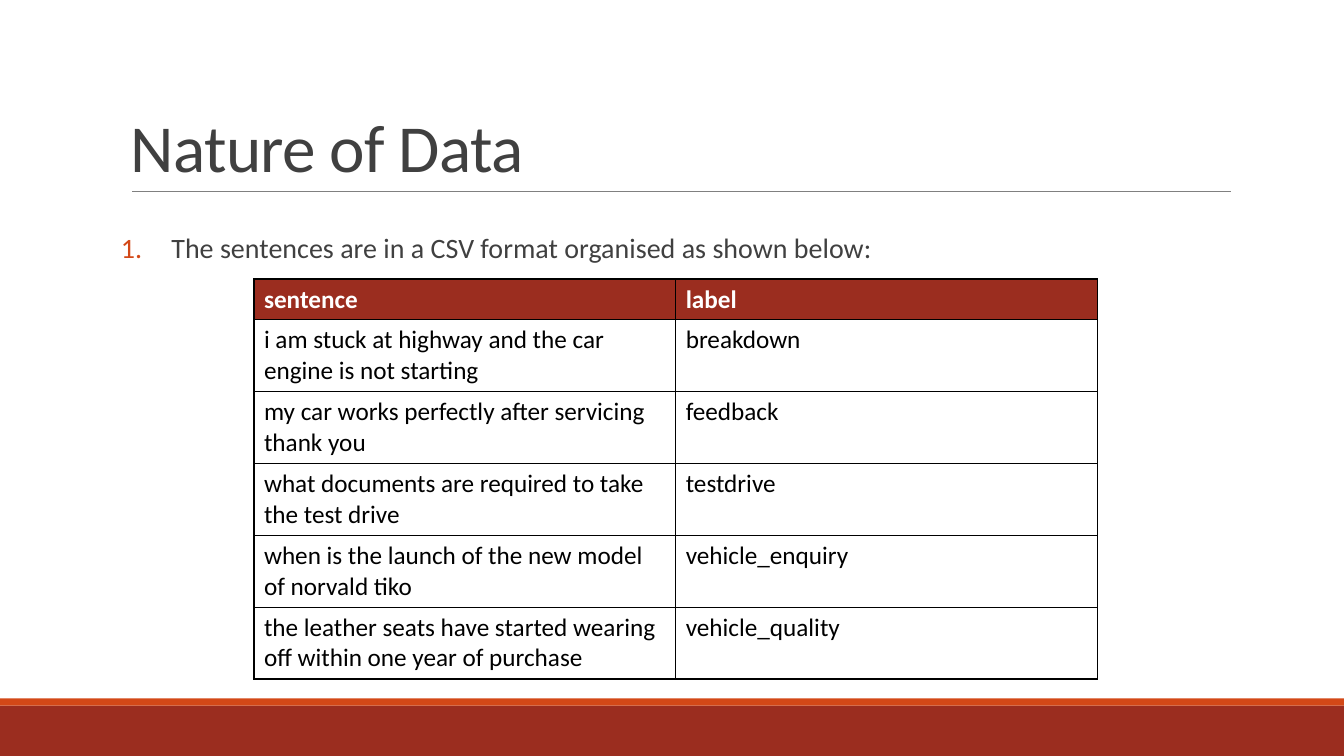
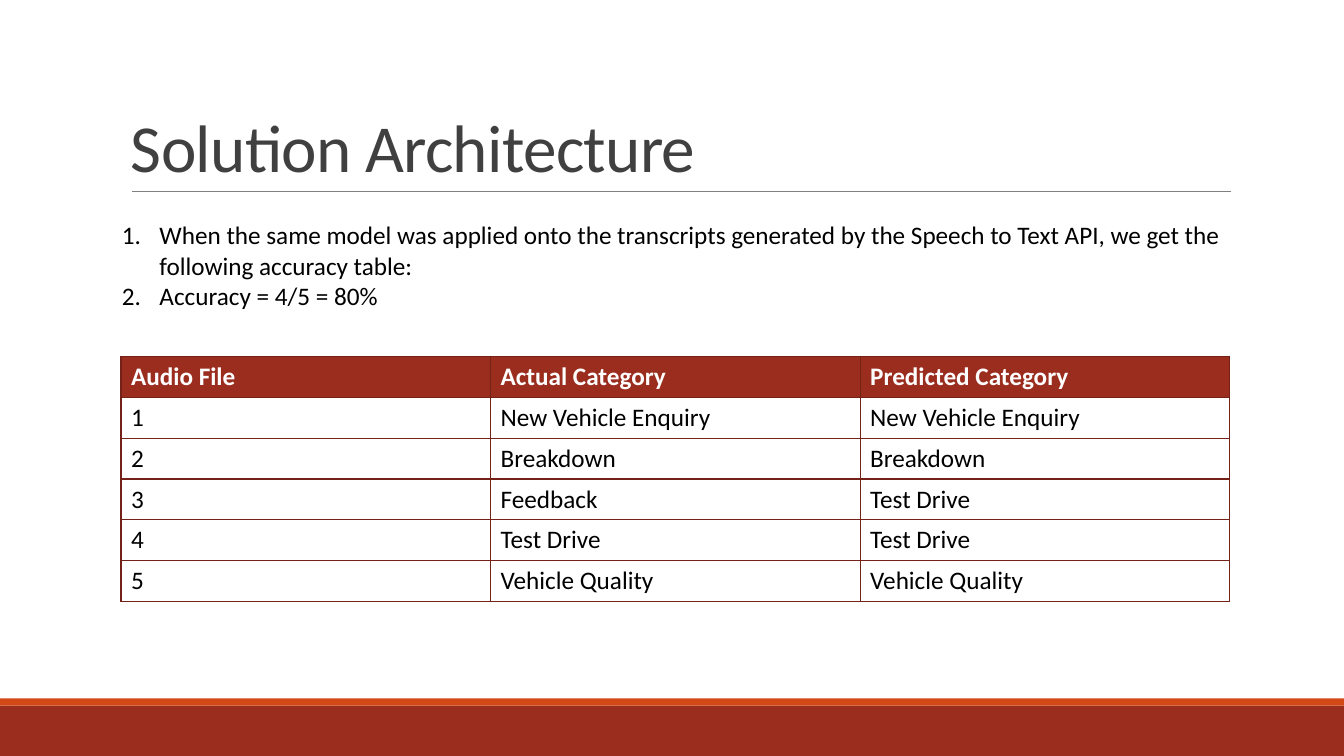
from lxml import etree
from pptx import Presentation
from pptx import util as u
from pptx.dml.color import RGBColor
from pptx.enum import shapes, text
from pptx.oxml import ns

BRICK, ORANGE, GRAY, RULE = "9B2D1F", "D34817", "404040", "808080"
BLACK, WHITE, MAROON = "000000", "FFFFFF", "742217"


def color(value):
    return RGBColor.from_string(value)


def apply(target, values):
    for name, value in values.items():
        setattr(target, name, value)


def add_xml(parent, tag, **attributes):
    return etree.SubElement(parent, ns.qn(tag), attributes)


class SlideBuilder:
    """Draws styled elements on the current slide of a deck."""

    font = "Calibri"
    width, height = 33.87, 19.05
    left, content_width = 3.05, 27.94

    def __init__(self):
        self.deck = Presentation()
        apply(self.deck, {"slide_width": u.Cm(self.width), "slide_height": u.Cm(self.height)})
        self.page = None

    def start(self, title):
        self.page = self.deck.slides.add_slide(self.deck.slide_layouts[6])
        self.band(17.78, 1.27, BRICK)
        self.band(17.6, 0.18, ORANGE)
        self.rule(3.33, 31.01, 4.82)
        self.title(title)

    def band(self, top, height, fill):
        band = self.page.shapes.add_shape(
            shapes.MSO_SHAPE.RECTANGLE, 0, u.Cm(top), u.Cm(self.width), u.Cm(height))
        band.shadow.inherit = False
        band.fill.solid()
        band.fill.fore_color.rgb = color(fill)
        band.line.fill.background()

    def rule(self, start, end, top):
        rule = self.page.shapes.add_connector(
            shapes.MSO_CONNECTOR.STRAIGHT, u.Cm(start), u.Cm(top), u.Cm(end), u.Cm(top))
        rule.line.color.rgb = color(RULE)
        rule.line.width = u.Pt(0.5)
        add_xml(rule._element.spPr, "a:effectLst")

    def box(self, left, top, width, height, **frame):
        box = self.page.shapes.add_textbox(u.Cm(left), u.Cm(top), u.Cm(width), u.Cm(height))
        apply(box.text_frame, {"word_wrap": True, **frame})
        return box.text_frame

    def add_span(self, para, words, size, ink, bold=False):
        span = para.add_run()
        span.text = words
        apply(span.font, {"name": self.font, "size": u.Pt(size), "bold": bold})
        span.font.color.rgb = color(ink)
        return span

    def title(self, words):
        frame = self.box(self.left, 0.79, self.content_width, 4.04,
                         vertical_anchor=text.MSO_ANCHOR.BOTTOM)
        para = frame.paragraphs[0]
        para.line_spacing = 0.85
        span = self.add_span(para, words, 48, GRAY)
        span._r.get_or_add_rPr().set("spc", "-50")

    def numbered(self, frame, items, size, ink, number_ink, indent, **spacing):
        for index, words in enumerate(items):
            para = frame.add_paragraph() if index else frame.paragraphs[0]
            props = para._p.get_or_add_pPr()
            props.set("marL", str(u.Cm(indent)))
            props.set("indent", str(-u.Cm(indent)))
            add_xml(add_xml(props, "a:buClr"), "a:srgbClr", val=number_ink)
            add_xml(props, "a:buFont", typeface="+mj-lt")
            add_xml(props, "a:buAutoNum", type="arabicPeriod")
            apply(para, spacing)
            self.add_span(para, words, size, ink)

    def border(self, cell, ink):
        props = cell._tc.get_or_add_tcPr()
        for side in ("a:lnL", "a:lnR", "a:lnT", "a:lnB"):
            line = add_xml(props, side, w=str(u.Pt(1)))
            add_xml(add_xml(line, "a:solidFill"), "a:srgbClr", val=ink)

    def table(self, left, top, width, row_height, rows, border_ink):
        head_height = 1.03
        total = head_height + row_height * (len(rows) - 1)
        table = self.page.shapes.add_table(
            len(rows), len(rows[0]), u.Cm(left), u.Cm(top), u.Cm(width), u.Cm(total)).table
        table.horz_banding = False
        for r, row in enumerate(rows):
            header = r == 0
            table.rows[r].height = u.Cm(head_height if header else row_height)
            for c, words in enumerate(row):
                cell = table.cell(r, c)
                self.border(cell, border_ink)
                if header:
                    cell.fill.solid()
                    cell.fill.fore_color.rgb = color(BRICK)
                else:
                    cell.fill.background()
                self.add_span(cell.text_frame.paragraphs[0], words, 18,
                              WHITE if header else BLACK, header)


def data_slide(builder):
    builder.start("Nature of Data")
    frame = builder.box(builder.left, 5.77, builder.content_width, 1.2,
                        margin_left=0, margin_right=0)
    builder.numbered(frame, ["The sentences are in a CSV format organised as shown below:"],
                     20, GRAY, ORANGE, 1.27, line_spacing=0.9, space_after=u.Pt(2))
    builder.table(6.4, 7.03, 21.26, 1.81, [
        ("sentence", "label"),
        ("i am stuck at highway and the car engine is not starting", "breakdown"),
        ("my car works perfectly after servicing thank you", "feedback"),
        ("what documents are required to take the test drive", "testdrive"),
        ("when is the launch of the new model of norvald tiko", "vehicle_enquiry"),
        ("the leather seats have started wearing off within one year of purchase",
         "vehicle_quality"),
    ], BLACK)


def accuracy_slide(builder):
    builder.start("Solution Architecture")
    builder.table(builder.left, 8.98, builder.content_width, 1.03, [
        ("Audio File", "Actual Category", "Predicted Category"),
        ("1", "New Vehicle Enquiry", "New Vehicle Enquiry"),
        ("2", "Breakdown", "Breakdown"),
        ("3", "Feedback", "Test Drive"),
        ("4", "Test Drive", "Test Drive"),
        ("5", "Vehicle Quality", "Vehicle Quality"),
    ], MAROON)
    frame = builder.box(2.82, 5.41, 28.42, 2.6)
    builder.numbered(frame, [
        "When the same model was applied onto the transcripts generated by the "
        "Speech to Text API, we get the following accuracy table:",
        "Accuracy = 4/5 = 80%",
    ], 18, BLACK, BLACK, 0.95)


def main():
    builder = SlideBuilder()
    data_slide(builder)
    accuracy_slide(builder)
    builder.deck.save("out.pptx")


if __name__ == "__main__":
    main()
